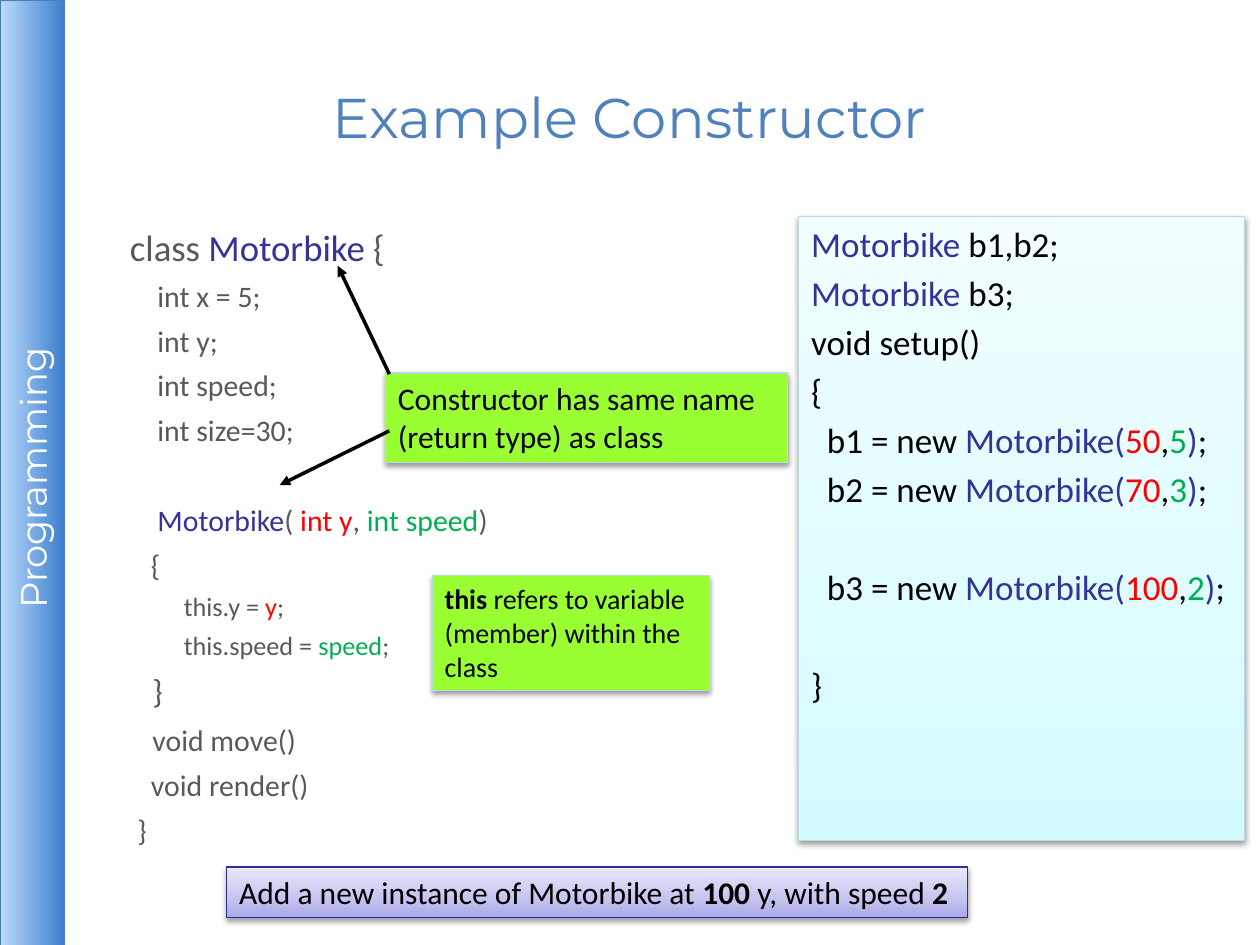
from lxml import etree
from pptx import Presentation
from pptx.dml.color import RGBColor
from pptx.enum.shapes import MSO_CONNECTOR, MSO_SHAPE
from pptx.enum.text import MSO_ANCHOR, PP_ALIGN
from pptx.oxml.ns import qn
from pptx.util import Pt

RECTANGLE = MSO_SHAPE.RECTANGLE
STRAIGHT = MSO_CONNECTOR.STRAIGHT
TOP, MIDDLE = MSO_ANCHOR.TOP, MSO_ANCHOR.MIDDLE
LEFT, CENTER = PP_ALIGN.LEFT, PP_ALIGN.CENTER

COLORS = {
    "title": "4F81BD", "code": "595959", "class": "333399",
    "position": "FF0000", "speed": "00B050", "black": "000000",
    "white": "FFFFFF", "callout": "99FF33", "pale edge": "B6DCDF",
    "band edge": "4A7DBB", "task edge": "2F2F98",
}
BAND_STOPS = [(0, "BDDBFE"), (100, "3E7FCD")]
PANEL_STOPS = [(0, "D3FBFF"), (35, "DFFCFF"), (100, "F2FEFF")]
TASK_STOPS = [(0, "A9A9E9"), (35, "C4C4EF"), (100, "E8E8FA")]


def rgb(key):
    return RGBColor.from_string(COLORS[key])


def add_element(parent, tag, **attributes):
    return etree.SubElement(parent, qn(tag), {k: str(v) for k, v in attributes.items()})


def add_line(frame, text, size=18, color="black", font="Calibri",
             align=LEFT, indent=0, before=0):
    paragraph = frame.paragraphs[0]
    if paragraph.runs:
        paragraph = frame.add_paragraph()
    paragraph.alignment = align
    paragraph.space_before = Pt(before)
    properties = paragraph._p.get_or_add_pPr()
    properties.set("marL", str(Pt(indent)))
    properties.set("indent", "0")
    pieces = [(text,)] if isinstance(text, str) else text
    for words, *style in pieces:
        run = paragraph.add_run()
        run.text = words
        run.font.name = font
        run.font.size = Pt(size)
        run.font.bold = "bold" in style
        tints = [key for key in style if key in COLORS]
        run.font.color.rgb = rgb(tints[0] if tints else color)


def set_frame(frame, anchor=TOP, inset=(7.2, 3.6), wrap=True):
    frame.word_wrap = wrap
    frame.vertical_anchor = anchor
    frame.margin_left = frame.margin_right = Pt(inset[0])
    frame.margin_top = frame.margin_bottom = Pt(inset[1])
    return frame


def add_text_area(slide, box, anchor=TOP):
    area = slide.shapes.add_textbox(*map(Pt, box))
    return set_frame(area.text_frame, anchor, (2.9, 2.9))


def fill_gradient(shape, stops, angle):
    shape.fill.gradient()
    shape.fill.gradient_angle = angle
    stop_list = shape._element.spPr.find(".//" + qn("a:gsLst"))
    stop_list.clear()
    for position, color in stops:
        stop = add_element(stop_list, "a:gs", pos=position * 1000)
        add_element(stop, "a:srgbClr", val=color)


def add_box(slide, box, edge, fill=None, stops=None, angle=90,
            shadow=(3.1, 1.6, 38), **frame_format):
    shape = slide.shapes.add_shape(RECTANGLE, *map(Pt, box))
    if stops:
        fill_gradient(shape, stops, angle)
    else:
        shape.fill.solid()
        shape.fill.fore_color.rgb = rgb(fill)
    shape.line.color.rgb = rgb(edge)
    shape.line.width = Pt(0.75)
    shape.shadow.inherit = False
    blur, distance, opacity = shadow
    effects = shape._element.spPr.find(qn("a:effectLst"))
    outer = add_element(effects, "a:outerShdw", blurRad=Pt(blur), dist=Pt(distance),
                        dir=5400000, rotWithShape=0)
    tint = add_element(outer, "a:srgbClr", val=COLORS["black"])
    add_element(tint, "a:alpha", val=opacity * 1000)
    return set_frame(shape.text_frame, **frame_format)


def add_arrow(slide, start, end):
    arrow = slide.shapes.add_connector(STRAIGHT, *map(Pt, start + end))
    arrow.line.color.rgb = rgb("black")
    arrow.line.width = Pt(2)
    add_element(arrow.line._get_or_add_ln(), "a:tailEnd", type="triangle")
    add_element(arrow._element.spPr, "a:effectLst")


def add_course_band(slide):
    band = add_box(slide, (0, 0, 36.7, 540.7), "band edge", stops=BAND_STOPS, angle=0,
                   shadow=(0, 1.8, 35), anchor=MIDDLE, inset=(2.9, 2.9))
    band._txBody.bodyPr.set("vert", "vert270")
    add_line(band, "Programming ", size=21, color="white", font="Montserrat", align=CENTER)


def add_class_code(slide):
    code = add_text_area(slide, (43.9, 125.3, 640, 377.3))
    member = {"size": 17, "color": "code", "indent": 43.2, "before": 5.2}
    brace = {**member, "indent": 39.5}
    body = {"size": 15, "color": "code", "indent": 58.3, "before": 4.5}
    add_line(code, [("class ",), ("Motorbike ", "class"), ("{",)],
             size=21, color="code", indent=27.4, before=6)
    for field in ("int x = 5;", "int y;", "int speed;", "int size=30;"):
        add_line(code, field, **member)
    add_line(code, [("Motorbike", "class"), ("( ",), ("int y", "position"), (", ",),
                    ("int speed", "speed"), (")",)], **{**member, "before": 30.9})
    add_line(code, "{", **brace)
    add_line(code, [("this.y = ",), ("y", "position"), (";",)], **body)
    add_line(code, [("this.speed = ",), ("speed", "speed"), (";",)], **body)
    add_line(code, "}", **{**brace, "size": 19, "indent": 40.3})
    add_line(code, "void move()", **{**brace, "indent": 40.3, "before": 7})
    add_line(code, "void render()", **brace)
    add_line(code, "}", **{**brace, "indent": 31.7})


def add_setup_code(slide):
    panel = add_box(slide, (456.5, 123.8, 254.9, 356.4), "pale edge", stops=PANEL_STOPS)
    for variables in (" b1,b2;", " b3;"):
        add_line(panel, [("Motorbike", "class"), (variables,)], size=20, before=4)
    for opening in ("void setup()", "{"):
        add_line(panel, opening, size=20, before=4)
    for bike, position, speed, gap in (("b1", "50", "5", 4), ("b2", "70", "3", 4),
                                       ("b3", "100", "2", 32)):
        add_line(panel, [(f"{bike} = new ",), ("Motorbike(", "class"),
                         (position, "position"), (",",), (speed, "speed"),
                         (")", "class"), (";",)], size=20, indent=9, before=gap)
    add_line(panel, "}", size=20, before=32)


def add_notes_on_code(slide):
    task = add_box(slide, (129.6, 495.4, 423.4, 28.8), "task edge",
                   stops=TASK_STOPS, wrap=False)
    add_line(task, [("Add a new instance of Motorbike at ",), ("100", "bold"),
                    (" y, with speed ",), ("2", "bold")])
    naming = add_box(slide, (220.3, 213.1, 229.7, 51.1), "pale edge", fill="callout")
    add_line(naming, "Constructor has same name")
    add_line(naming, "(return type) as class")
    this_note = add_box(slide, (247, 329, 158.4, 65.5), "pale edge", fill="callout")
    add_line(this_note, [("this", "bold"), (" refers to variable",)], size=16)
    add_line(this_note, "(member) within the class", size=16)
    add_arrow(slide, (222.5, 246.2), (159.8, 277.2))
    add_arrow(slide, (222.5, 213.8), (193, 151.9))


def main():
    deck = Presentation()
    deck.slide_width, deck.slide_height = Pt(720), Pt(540)
    slide = deck.slides.add_slide(deck.slide_layouts[6])
    add_course_band(slide)
    title = add_text_area(slide, (36, 21.6, 648, 90), anchor=MIDDLE)
    add_line(title, "Example Constructor", size=32, color="title",
             font="Montserrat", align=CENTER)
    add_class_code(slide)
    add_setup_code(slide)
    add_notes_on_code(slide)
    deck.save("out.pptx")


main()
